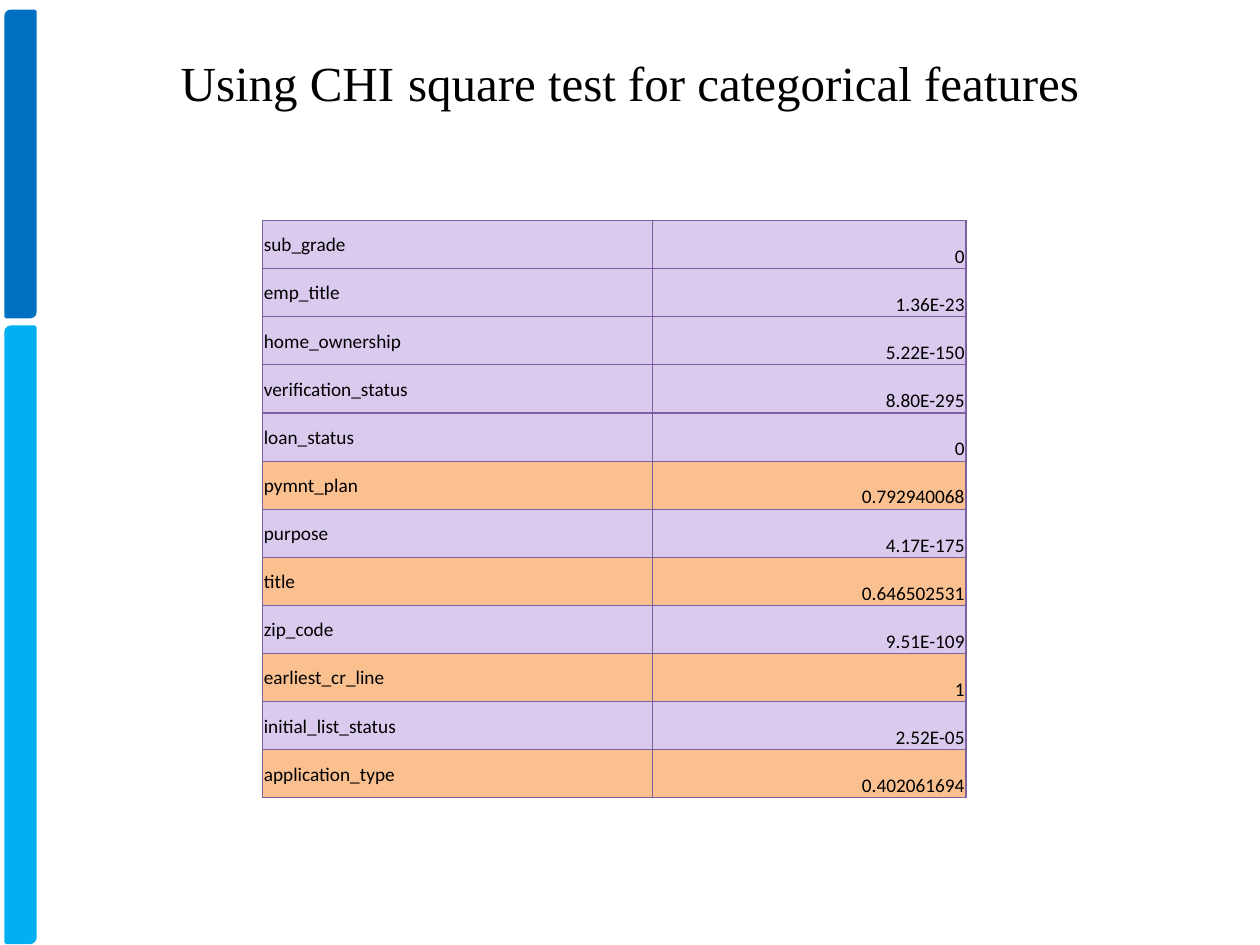
from dataclasses import dataclass

from lxml import etree
from pptx import Presentation
from pptx.dml.color import RGBColor
from pptx.enum import shapes, text
from pptx.oxml import ns
from pptx.util import Pt


@dataclass(frozen=True)
class Theme:
    dark_blue: str = "0070C0"
    light_blue: str = "00B0F0"
    black: str = "000000"
    significant: str = "D9CAEE"
    not_significant: str = "FAC090"
    border: str = "7D60A0"
    title_font: str = "Times New Roman"
    table_font: str = "Calibri"
    title_size: int = 28
    title_gap_size: int = 32
    table_size: int = 11


theme = Theme()
SIGNIFICANCE = 0.05
P_VALUES = [
    ("sub_grade", "0"),
    ("emp_title", "1.36E-23"),
    ("home_ownership", "5.22E-150"),
    ("verification_status", "8.80E-295"),
    ("loan_status", "0"),
    ("pymnt_plan", "0.792940068"),
    ("purpose", "4.17E-175"),
    ("title", "0.646502531"),
    ("zip_code", "9.51E-109"),
    ("earliest_cr_line", "1"),
    ("initial_list_status", "2.52E-05"),
    ("application_type", "0.402061694"),
]


def add_borders(cell):
    properties = cell._tc.get_or_add_tcPr()
    for side in ("lnL", "lnR", "lnT", "lnB"):
        line = etree.SubElement(properties, ns.qn(f"a:{side}"), w=str(Pt(0.75)))
        fill = etree.SubElement(line, ns.qn("a:solidFill"))
        etree.SubElement(fill, ns.qn("a:srgbClr"), val=theme.border)


presentation = Presentation()
presentation.slide_width, presentation.slide_height = Pt(720), Pt(540)
slide = presentation.slides.add_slide(presentation.slide_layouts[6])

# Side bars
for top, height, color in ((6.5, 174.5, theme.dark_blue), (187, 351.5, theme.light_blue)):
    bar = slide.shapes.add_shape(
        shapes.MSO_SHAPE.ROUND_2_DIAG_RECTANGLE, Pt(3.5), Pt(top), Pt(16.5), Pt(height))
    bar.shadow.inherit = False
    bar.fill.solid()
    bar.fill.fore_color.rgb = RGBColor.from_string(color)
    bar.line.color.rgb = RGBColor.from_string(color)
    bar.line.width = Pt(2)

# Title
title = slide.shapes.add_textbox(Pt(36), Pt(0), Pt(648), Pt(90))
title.text_frame.word_wrap = True
title.text_frame.vertical_anchor = text.MSO_ANCHOR.MIDDLE
paragraph = title.text_frame.paragraphs[0]
paragraph.alignment = text.PP_ALIGN.CENTER
paragraph.font.name = theme.title_font
paragraph.font.color.rgb = RGBColor.from_string(theme.black)
for words, size in (
    ("Using CHI", theme.title_size),
    (" ", theme.title_gap_size),
    ("square test for categorical features", theme.title_size),
):
    run = paragraph.add_run()
    run.text = words
    run.font.size = Pt(size)

# Table of p-values: features above the significance level stand out
row_height = 27.5
table = slide.shapes.add_table(
    len(P_VALUES), 2, Pt(150), Pt(126), Pt(402), Pt(row_height * len(P_VALUES))).table
table.first_row = False
table.horz_banding = False
for column, width in zip(table.columns, (223, 179)):
    column.width = Pt(width)

layout = (
    (text.PP_ALIGN.LEFT, text.MSO_ANCHOR.MIDDLE),
    (text.PP_ALIGN.RIGHT, text.MSO_ANCHOR.BOTTOM),
)
for row, values in zip(table.rows, P_VALUES):
    row.height = Pt(row_height)
    significant = float(values[1]) < SIGNIFICANCE
    fill_color = theme.significant if significant else theme.not_significant
    for cell, value, (alignment, anchor) in zip(row.cells, values, layout):
        add_borders(cell)
        cell.fill.solid()
        cell.fill.fore_color.rgb = RGBColor.from_string(fill_color)
        cell.margin_left = cell.margin_right = cell.margin_top = Pt(0.75)
        cell.margin_bottom = Pt(0)
        cell.vertical_anchor = anchor
        cell.text = value
        paragraph = cell.text_frame.paragraphs[0]
        paragraph.alignment = alignment
        paragraph.font.name = theme.table_font
        paragraph.font.size = Pt(theme.table_size)
        paragraph.font.color.rgb = RGBColor.from_string(theme.black)

presentation.save("out.pptx")
